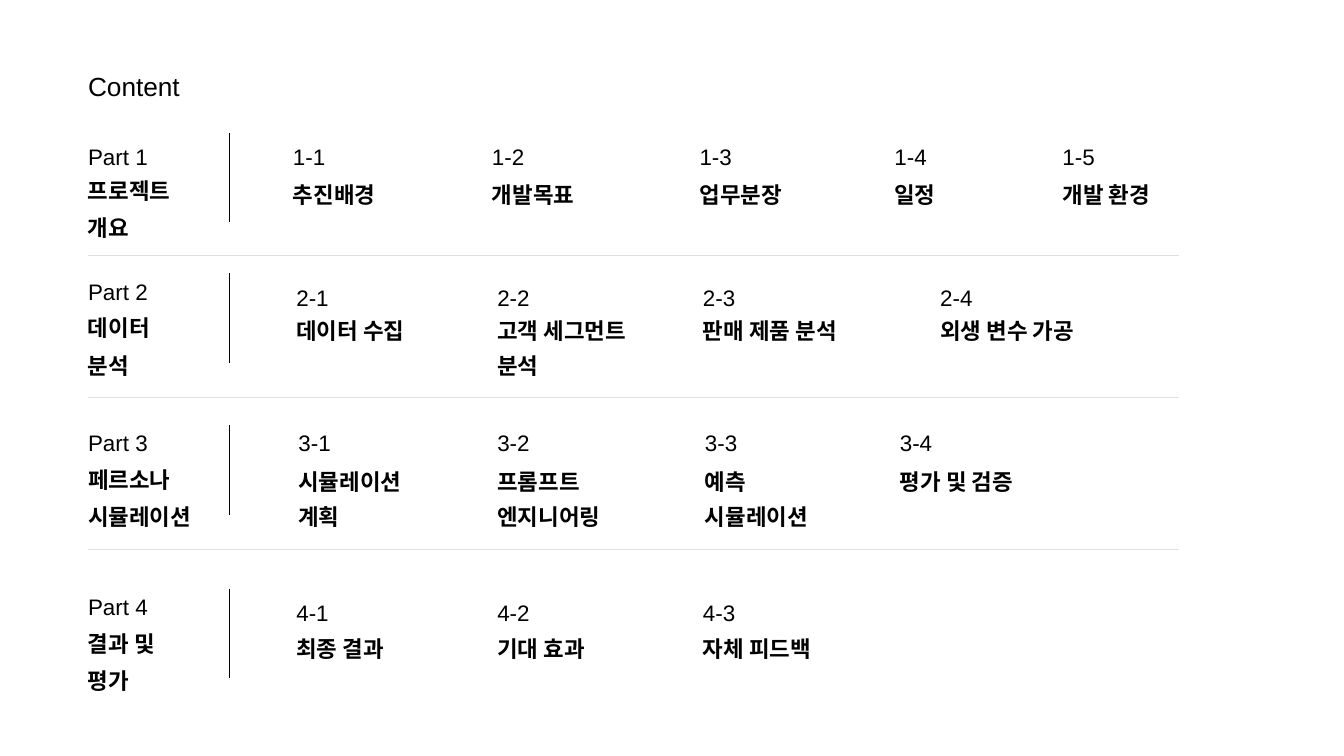
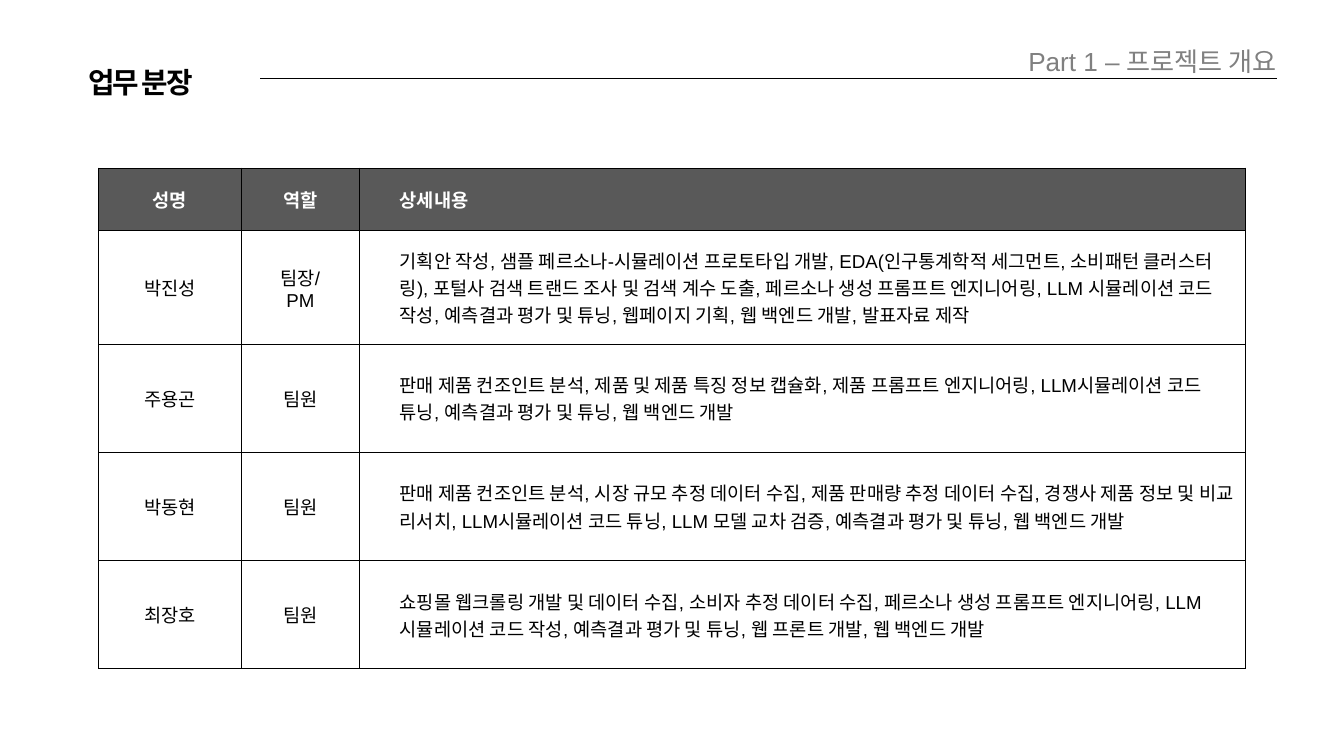
from dataclasses import dataclass

from lxml import etree
from pptx import Presentation
from pptx.dml.color import RGBColor
from pptx.enum.shapes import MSO_CONNECTOR
from pptx.enum.text import MSO_ANCHOR, MSO_AUTO_SIZE, PP_ALIGN
from pptx.oxml.ns import qn
from pptx.util import Inches, Pt

STRAIGHT = MSO_CONNECTOR.STRAIGHT
FIT_SHAPE = MSO_AUTO_SIZE.SHAPE_TO_FIT_TEXT
MIDDLE = MSO_ANCHOR.MIDDLE
LEFT, CENTER, RIGHT = PP_ALIGN.LEFT, PP_ALIGN.CENTER, PP_ALIGN.RIGHT

COLUMNS, ROWS = 20, 11.25
MARGIN = 1.31


@dataclass(frozen=True)
class Theme:
    """Colours, fonts, type sizes and line widths of the deck."""

    ink: str = "000000"
    paper: str = "FFFFFF"
    muted: str = "808080"
    divider: str = "DFDFDF"
    header: str = "595959"
    font: str = "Arial"
    header_font: str = "Calibri"
    heading: float = 28.1
    title: float = 30.9
    section: float = 28
    body: float = 24
    table: float = 20
    thin: float = 0.75
    medium: float = 1


@dataclass(frozen=True)
class Part:
    """One row of the contents page, with its grid positions."""

    label: tuple
    label_row: float
    label_gap: float
    item_row: float
    item_gap: float
    bar_row: float
    spacing: float
    items: tuple


THEME = Theme()

PARTS = (
    Part(("프로젝트", "개요"), 1.97, 0.5, 1.97, 0.61, 1.98, 1.3, (
        (4.36, "추진배경"), (7.32, "개발목표"), (10.41, "업무분장"),
        (13.31, "일정"), (15.81, "개발 환경"))),
    Part(("데이터 분석",), 3.98, 0.54, 4.07, 0.53, 4.07, 1.3, (
        (4.41, "데이터 수집"), (7.4, "고객 세그먼트", "분석"),
        (10.46, "판매 제품 분석"), (13.99, "외생 변수 가공"))),
    Part(("페르소나", "시뮬레이션"), 6.23, 0.54, 6.23, 0.61, 6.33, 1.3, (
        (4.44, "시뮬레이션", "계획"), (7.4, "프롬프트", "엔지니어링"),
        (10.49, "예측", "시뮬레이션"), (13.39, "평가 및 검증"))),
    Part(("결과 및", "평가"), 8.67, 0.54, 8.76, 0.53, 8.76, 1.4, (
        (4.41, "최종 결과"), (7.4, "기대 효과"), (10.46, "자체 피드백"))),
)
DIVIDER_ROWS = (3.8, 5.92, 8.18)

DUTIES = (
    ("성명", "역할", "상세내용"),
    ("박진성", "팀장/\nPM",
     "기획안 작성, 샘플 페르소나-시뮬레이션 프로토타입 개발, EDA(인구통계학적 세그먼트, "
     "소비패턴 클러스터링), 포털사 검색 트랜드 조사 및 검색 계수 도출, 페르소나 생성 프롬프트 "
     "엔지니어링, LLM 시뮬레이션 코드 작성, 예측결과 평가 및 튜닝, 웹페이지 기획, "
     "웹 백엔드 개발, 발표자료 제작"),
    ("주용곤", "팀원",
     "판매 제품 컨조인트 분석, 제품 및 제품 특징 정보 캡슐화, 제품 프롬프트 엔지니어링, "
     "LLM시뮬레이션 코드 튜닝, 예측결과 평가 및 튜닝, 웹 백엔드 개발"),
    ("박동현", "팀원",
     "판매 제품 컨조인트 분석, 시장 규모 추정 데이터 수집, 제품 판매량 추정 데이터 수집, "
     "경쟁사 제품 정보 및 비교 리서치, LLM시뮬레이션 코드 튜닝, LLM 모델 교차 검증, "
     "예측결과 평가 및 튜닝, 웹 백엔드 개발"),
    ("최장호", "팀원",
     "쇼핑몰 웹크롤링 개발 및 데이터 수집, 소비자 추정 데이터 수집, 페르소나 생성 프롬프트 "
     "엔지니어링, LLM 시뮬레이션 코드 작성, 예측결과 평가 및 튜닝, 웹 프론트 개발, "
     "웹 백엔드 개발"),
)
DUTY_COLUMNS = (2.12, 1.76, 13.18)
DUTY_ROWS = (0.93, 1.69, 1.61, 1.61, 1.61)


def apply(target, values):
    """Set each named attribute of the target."""
    for name, value in values.items():
        setattr(target, name, value)


def write(frame, lines, size, color=THEME.ink, font=THEME.font, bold=False,
          align=LEFT, spacing=1.0, tracking=0, indent=0):
    """Write one styled paragraph per line into a text frame."""
    for index, line in enumerate(lines):
        para = frame.add_paragraph() if index else frame.paragraphs[0]
        apply(para, {"alignment": align, "line_spacing": spacing})
        if indent:
            para.level = 1
            properties = para._p.get_or_add_pPr()
            properties.set("marL", str(Inches(indent)))
            properties.set("indent", "0")
        span = para.add_run()
        span.text = line
        apply(span.font, {"size": Pt(size), "name": font, "bold": bold})
        span.font.color.rgb = RGBColor.from_string(color)
        if tracking:
            span._r.get_or_add_rPr().set("spc", str(tracking * 100))


def add_text(page, left, top, width, height, lines, size, **style):
    """Add a text box without insets at a grid position."""
    box = page.shapes.add_textbox(*map(Inches, (left, top, width, height)))
    frame = box.text_frame
    apply(frame, {"margin_left": 0, "margin_right": 0, "margin_top": 0,
                  "margin_bottom": 0, "word_wrap": True,
                  "auto_size": FIT_SHAPE})
    write(frame, lines, size, **style)


def add_line(page, start, end, color=THEME.ink):
    """Draw a thin straight line between two grid points."""
    line = page.shapes.add_connector(STRAIGHT, *map(Inches, start + end))
    line.line.color.rgb = RGBColor.from_string(color)
    line.line.width = Pt(THEME.thin)
    etree.SubElement(line._element.spPr, qn("a:effectLst"))


def add_border(cell, side, width):
    """Add a solid border to one side of a table cell."""
    properties = cell._tc.get_or_add_tcPr()
    border = etree.SubElement(properties, qn(f"a:ln{side}"), w=str(Pt(width)))
    fill = etree.SubElement(border, qn("a:solidFill"))
    etree.SubElement(fill, qn("a:srgbClr"), val=THEME.ink)


def add_part(page, number, part):
    """Add a part's label, its bar and its numbered items."""
    add_text(page, MARGIN, part.label_row, 1.18, 0.56, [f"Part {number}"],
             THEME.body, spacing=1.4)
    width = 2.05 if "시뮬레이션" in part.label else 1.56
    add_text(page, MARGIN, part.label_row + part.label_gap, width, 1.13,
             part.label, THEME.body, bold=True, spacing=1.4)
    add_line(page, (3.42, part.bar_row), (3.42, part.bar_row + 1.33))
    lefts = [item[0] for item in part.items]
    ends = lefts[1:] + [lefts[-1] + 2.19]
    for order, (item, end) in enumerate(zip(part.items, ends), 1):
        left, *lines = item
        add_text(page, left, part.item_row, 1.09, 0.57, [f"{number}-{order}"],
                 THEME.body, spacing=1.4)
        add_text(page, left, part.item_row + part.item_gap, end - left,
                 0.53 * len(lines), lines, THEME.body, bold=True,
                 spacing=part.spacing)


def add_header(page, title, section):
    """Add the page title, the section name and the line under it."""
    add_line(page, (3.87, 1.17), (19, 1.17))
    add_text(page, MARGIN, 0.87, 4.09, 0.56, [title], THEME.title,
             bold=True, spacing=Pt(43.3), tracking=-2)
    add_text(page, 12.66, 0.6, 6.34, 0.51, [section], THEME.section,
             color=THEME.muted, align=RIGHT, spacing=Pt(39.4))


def add_duty_cell(cell, text, row, column):
    """Format and fill one cell of the duty table."""
    last = len(DUTY_COLUMNS) - 1
    widths = {"L": THEME.medium if column else THEME.thin,
              "R": THEME.medium if column < last else THEME.thin,
              "T": THEME.thin, "B": THEME.thin}
    for side, width in widths.items():
        add_border(cell, side, width)
    cell.vertical_anchor = MIDDLE
    style = {"align": LEFT if column == last else CENTER,
             "indent": 0.5 if column == last else 0}
    if row:
        cell.fill.background()
    else:
        cell.fill.solid()
        cell.fill.fore_color.rgb = RGBColor.from_string(THEME.header)
        style.update(color=THEME.paper, font=THEME.header_font, bold=True)
    write(cell.text_frame, text.split("\n"), THEME.table, **style)


def add_duty_table(page):
    """Add the table of members, roles and duties."""
    place = map(Inches, (1.47, 2.5, sum(DUTY_COLUMNS), sum(DUTY_ROWS)))
    table = page.shapes.add_table(len(DUTY_ROWS), len(DUTY_COLUMNS),
                                  *place).table
    apply(table, {"first_row": False, "horz_banding": False})
    for column, width in zip(table.columns, DUTY_COLUMNS):
        column.width = Inches(width)
    for row, height in zip(table.rows, DUTY_ROWS):
        row.height = Inches(height)
    for row, texts in enumerate(DUTIES):
        for column, text in enumerate(texts):
            add_duty_cell(table.cell(row, column), text, row, column)


def add_page(deck):
    """Add a blank page with the paper colour."""
    page = deck.slides.add_slide(deck.slide_layouts[6])
    page.background.fill.solid()
    page.background.fill.fore_color.rgb = RGBColor.from_string(THEME.paper)
    return page


def main():
    """Build and save the deck."""
    deck = Presentation()
    apply(deck, {"slide_width": Inches(COLUMNS), "slide_height": Inches(ROWS)})

    contents = add_page(deck)
    add_text(contents, MARGIN, 0.86, 4.09, 0.66, ["Content"], THEME.heading,
             spacing=1.4)
    for number, part in enumerate(PARTS, 1):
        add_part(contents, number, part)
    for row in DIVIDER_ROWS:
        add_line(contents, (MARGIN, row), (17.54, row), THEME.divider)

    duties = add_page(deck)
    add_header(duties, "업무 분장", "Part 1 – 프로젝트 개요")
    add_duty_table(duties)

    deck.save("out.pptx")


if __name__ == "__main__":
    main()
